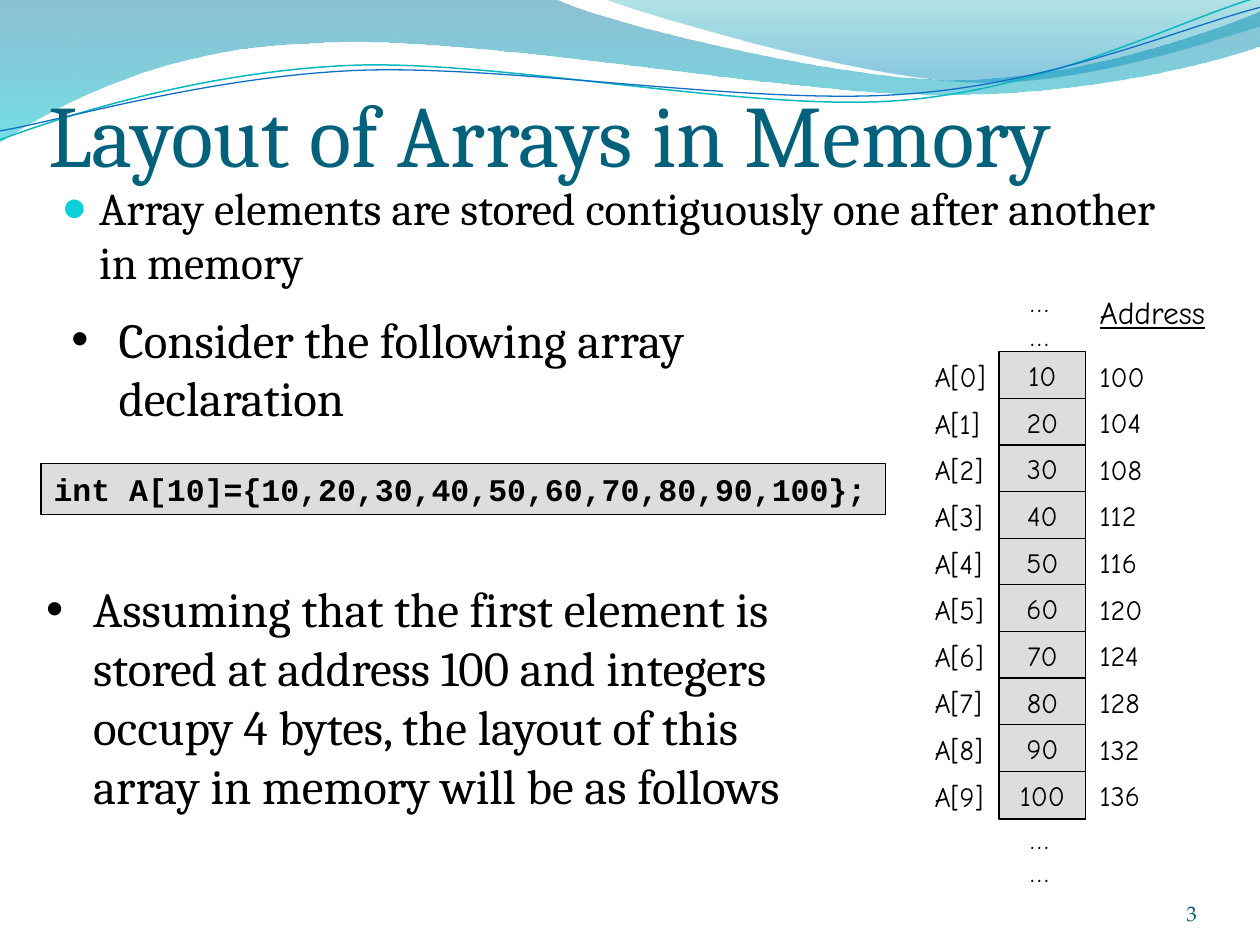
"""Builds the slide "Layout of Arrays in Memory"."""
from dataclasses import dataclass
from typing import Optional

from lxml.etree import SubElement
from pptx import Presentation
from pptx.dml.color import RGBColor
from pptx.enum.shapes import MSO_SHAPE as Shape
from pptx.enum.text import MSO_ANCHOR as Anchor, MSO_AUTO_SIZE as Fit, PP_ALIGN as Align
from pptx.oxml.ns import qn
from pptx.util import Cm, Pt

BLACK = RGBColor(0x00, 0x00, 0x00)
GREY = RGBColor(0xDD, 0xDD, 0xDD)
TITLE_BLUE = RGBColor(0x04, 0x61, 0x7B)
NUMBER_BLUE = RGBColor(0x04, 0x5D, 0x75)
BULLET_CYAN = RGBColor(0x0B, 0xD0, 0xD9)
DEEP_BLUE = RGBColor(0x00, 0x74, 0xA1)
AQUA = RGBColor(0x00, 0xC6, 0xCF)
TEAL = RGBColor(0x00, 0xA1, 0xA9)
SEA_BLUE = RGBColor(0x00, 0x8B, 0xBF)
LINE_TEAL = RGBColor(0x0A, 0xB8, 0xBF)
LINE_BLUE = RGBColor(0x0F, 0x6F, 0xC6)

SERIF, COMIC, MONO, NUMBER = "Cambria", "Comic Neue", "Courier New", "TeX Gyre Pagella"
ROW_TOP, ROW_PITCH, CELL_H = 7.09, 0.94, 0.96
FIRST_ADDRESS, INT_BYTES = 100, 4


@dataclass
class Bullet:
    char: str
    indent: float
    color: Optional[RGBColor] = None
    size: int = 100


@dataclass
class Text:
    text: str
    box: tuple
    size: float = 16
    font: str = COMIC
    color: RGBColor = BLACK
    bold: bool = False
    underline: bool = False
    align: Align = Align.LEFT
    anchor: Anchor = Anchor.TOP
    wrap: bool = True
    fit: Fit = Fit.NONE
    margins: tuple = (0.25, 0.13, 0.25, 0.13)
    bullet: Optional[Bullet] = None


@dataclass
class Wave:
    points: list
    stops: tuple = ()
    line: Optional[RGBColor] = None
    width: float = 0.75


WAVES = [
    Wave([(0, 0), (11.18, -0.03),
          (12.09, 0.43, 16.87, 1.6, 19.25, 1.6), (21.67, 1.6, 24.33, 0.66, 25.4, 0.23),
          (25.43, 0.91), (24.97, 1.12, 22.1, 1.93, 18.95, 1.91),
          (15.8, 1.91, 9.7, 0.71, 6.53, 0.86), (3.28, 0.91, 1.17, 2.11, -0.03, 2.87)],
         stops=((0, DEEP_BLUE, 45), (1, AQUA, 55))),
    Wave([(12.17, -0.03), (12.93, 0.28, 17.32, 1.57, 19.53, 1.65),
          (21.74, 1.75, 24.41, 0.81, 25.4, 0.53), (25.4, 0)],
         stops=((0, TEAL, 30), (0.8, SEA_BLUE, 45))),
    Wave([(0, 2.82), (1.22, 2.36, 4.01, 1.45, 7.04, 1.32),
          (10.03, 1.19, 15.06, 2.26, 18.11, 2.03), (21.16, 1.8, 23.83, 0.38, 25.35, -0.05)],
         line=LINE_TEAL, width=0.85),
    Wave([(0, 2.64), (1.19, 2.44, 4.17, 1.55, 7.19, 1.42),
          (10.24, 1.3, 15.16, 2.13, 18.21, 1.9), (21.23, 1.7, 23.9, 0.53, 25.4, 0.15)],
         line=LINE_BLUE),
]

TITLE = Text("Layout of Arrays in Memory", (0.97, 0.56, 22.86, 3.18), 50, SERIF, TITLE_BLUE,
             anchor=Anchor.BOTTOM, margins=(0, 0.13, 0, 0))
TEXTS = [
    Text("Array elements are stored contiguously one after another in memory",
         (0.99, 3.49, 23.39, 2.87), 26, SERIF, bullet=Bullet("●", 0.76, BULLET_CYAN, 95)),
    Text("3", (22.02, 17.65, 2.11, 1.02), 12, NUMBER, NUMBER_BLUE, align=Align.RIGHT,
         anchor=Anchor.BOTTOM, margins=(0, 0, 0, 0)),
    Text("Address", (21.73, 5.77, 3, 1.02), 18, underline=True, align=Align.CENTER,
         wrap=False, fit=Fit.SHAPE_TO_FIT_TEXT),
    Text("Consider the following array declaration", (1.19, 6.1, 16.54, 2.46), 28, SERIF,
         bullet=Bullet("•", 0.95)),
    Text("Assuming that the first element is stored at address 100 and integers occupy "
         "4 bytes, the layout of this array in memory will be as follows",
         (0.68, 11.54, 16.6, 6.22), 28, SERIF, bullet=Bullet("•", 0.95)),
]
TEXTS += [Text("…\n…", (20.08, top, 1.75, 1.45), align=Align.CENTER, anchor=Anchor.MIDDLE,
               wrap=False) for top in (5.69, 16.51)]
CODE = Text("int A[10]={10,20,30,40,50,60,70,80,90,100};", (0.83, 9.34, 17.02, 1.04), 18, MONO,
            bold=True, fit=Fit.SHAPE_TO_FIT_TEXT)


def add_outline(s, wave: Wave):
    """Build an outline whose six-number steps are cubic curves."""
    pairs = [(Cm(step[i]), Cm(step[i + 1])) for step in wave.points
             for i in range(0, len(step), 2)]
    builder = s.shapes.build_freeform(*pairs[0])
    builder.add_line_segments(pairs[1:], close=bool(wave.stops))
    sp = builder.convert_to_shape()
    segments = iter(list(sp._element.spPr.iter(qn("a:lnTo"))))
    for step in wave.points[1:]:
        first = next(segments)
        if len(step) == 6:
            curve = first.makeelement(qn("a:cubicBezTo"))
            first.addprevious(curve)
            for segment in (first, next(segments), next(segments)):
                curve.append(segment[0])
                segment.getparent().remove(segment)
    return sp


def add_wave(s, wave: Wave) -> None:
    """Draw a gradient band or an open curved line."""
    sp = add_outline(s, wave)
    sp.shadow.inherit = False
    if not wave.stops:
        sp.fill.background()
        sp.line.color.rgb, sp.line.width = wave.line, Pt(wave.width)
        return
    sp.fill.gradient()
    sp.fill.gradient_angle = 270
    for stop, (position, color, _) in zip(sp.fill.gradient_stops, wave.stops):
        stop.position, stop.color.rgb = position, color
    for clr, (_, _, opacity) in zip(sp._element.spPr.iter(qn("a:srgbClr")), wave.stops):
        SubElement(clr, qn("a:alpha"), val=str(opacity * 1000))
    sp.line.fill.background()


def set_bullet(p, bullet: Bullet, size: float) -> None:
    """Give a paragraph a hanging bullet."""
    p.space_before = Pt(size * 0.2)
    pPr = p._p.get_or_add_pPr()
    pPr.set("marL", str(Cm(bullet.indent)))
    pPr.set("indent", str(-Cm(bullet.indent)))
    if bullet.color:
        SubElement(SubElement(pPr, qn("a:buClr")), qn("a:srgbClr"), val=str(bullet.color))
    SubElement(pPr, qn("a:buSzPct"), val=str(bullet.size * 1000))
    SubElement(pPr, qn("a:buFont"), typeface="Arial")
    SubElement(pPr, qn("a:buChar"), char=bullet.char)


def fill_text(sp, item: Text) -> None:
    """Write and format the text of a shape."""
    tf = sp.text_frame
    sides = ("margin_left", "margin_top", "margin_right", "margin_bottom")
    frame = {"word_wrap": item.wrap, "auto_size": item.fit, "vertical_anchor": item.anchor,
             **{side: Cm(m) for side, m in zip(sides, item.margins)}}
    for name, value in frame.items():
        setattr(tf, name, value)
    tf.text = item.text
    font = {"name": item.font, "size": Pt(item.size), "bold": item.bold,
            "underline": item.underline}
    for p in tf.paragraphs:
        p.alignment = item.align
        if item.bullet:
            set_bullet(p, item.bullet, item.size)
        for r in p.runs:
            for name, value in font.items():
                setattr(r.font, name, value)
            r.font.color.rgb = item.color


def add_text(s, item: Text) -> None:
    """Add a plain text box."""
    fill_text(s.shapes.add_textbox(*map(Cm, item.box)), item)


def add_box(s, item: Text) -> None:
    """Add a grey outlined rectangle with text."""
    sp = s.shapes.add_shape(Shape.RECTANGLE, *map(Cm, item.box))
    sp.shadow.inherit = False
    sp.fill.solid()
    sp.fill.fore_color.rgb = GREY
    sp.line.color.rgb, sp.line.width = BLACK, Pt(0.75)
    fill_text(sp, item)


def add_element(s, i: int) -> None:
    """Draw one array element with its name and address."""
    y = ROW_TOP + i * ROW_PITCH
    label = {"wrap": False, "fit": Fit.SHAPE_TO_FIT_TEXT}
    add_box(s, Text(str(10 * (i + 1)), (20.14, y, 1.75, CELL_H), align=Align.CENTER,
                    anchor=Anchor.MIDDLE, wrap=False))
    add_text(s, Text(f"A[{i}]", (18.59, y + 0.03, 1.7, 0.94), **label))
    add_text(s, Text(str(FIRST_ADDRESS + i * INT_BYTES), (21.92, y + 0.02, 1.45, 0.94), **label))


def main() -> None:
    """Build and save the slide."""
    prs = Presentation()
    prs.slide_width, prs.slide_height = Cm(25.4), Cm(19.05)
    s = prs.slides.add_slide(prs.slide_layouts[5])
    for wave in WAVES:
        add_wave(s, wave)
    title = s.shapes.title
    title.left, title.top, title.width, title.height = map(Cm, TITLE.box)
    fill_text(title, TITLE)
    s.shapes._spTree.append(title._element)
    for item in TEXTS:
        add_text(s, item)
    add_box(s, CODE)
    for i in range(10):
        add_element(s, i)
    prs.save("out.pptx")


if __name__ == "__main__":
    main()
